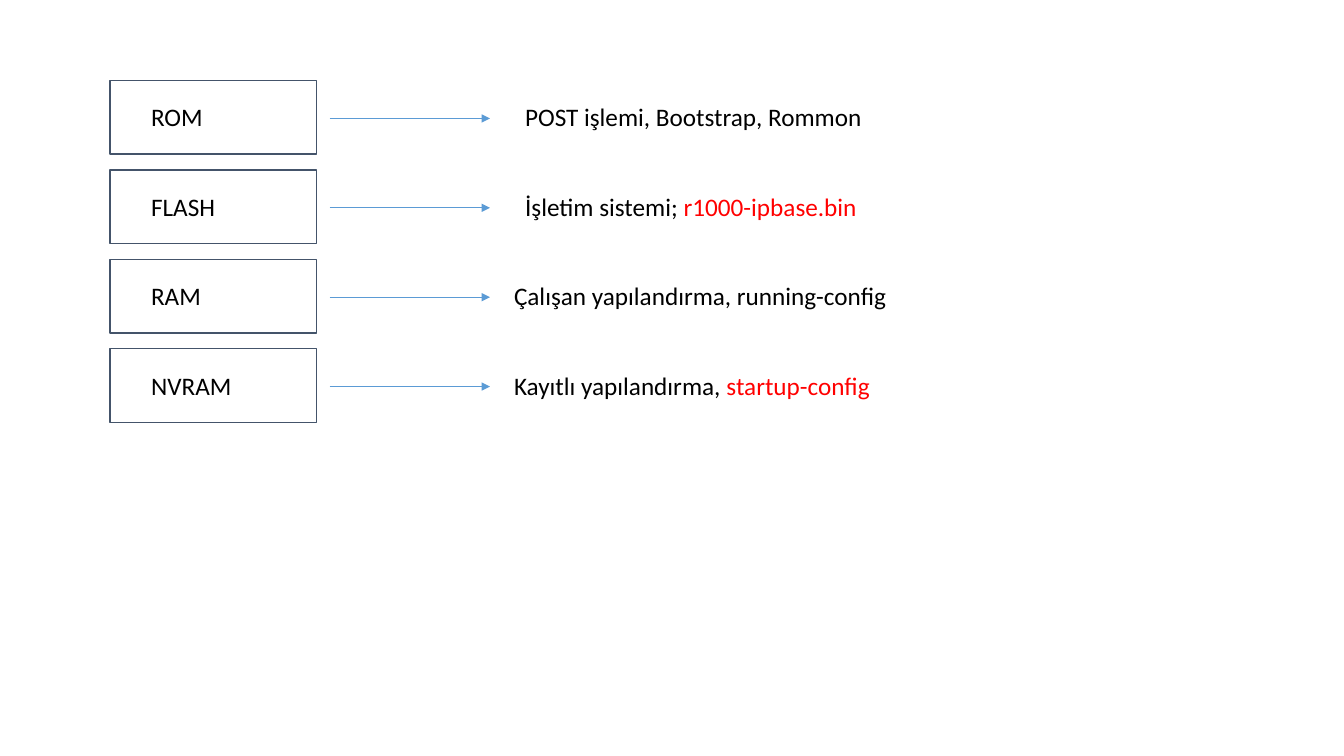
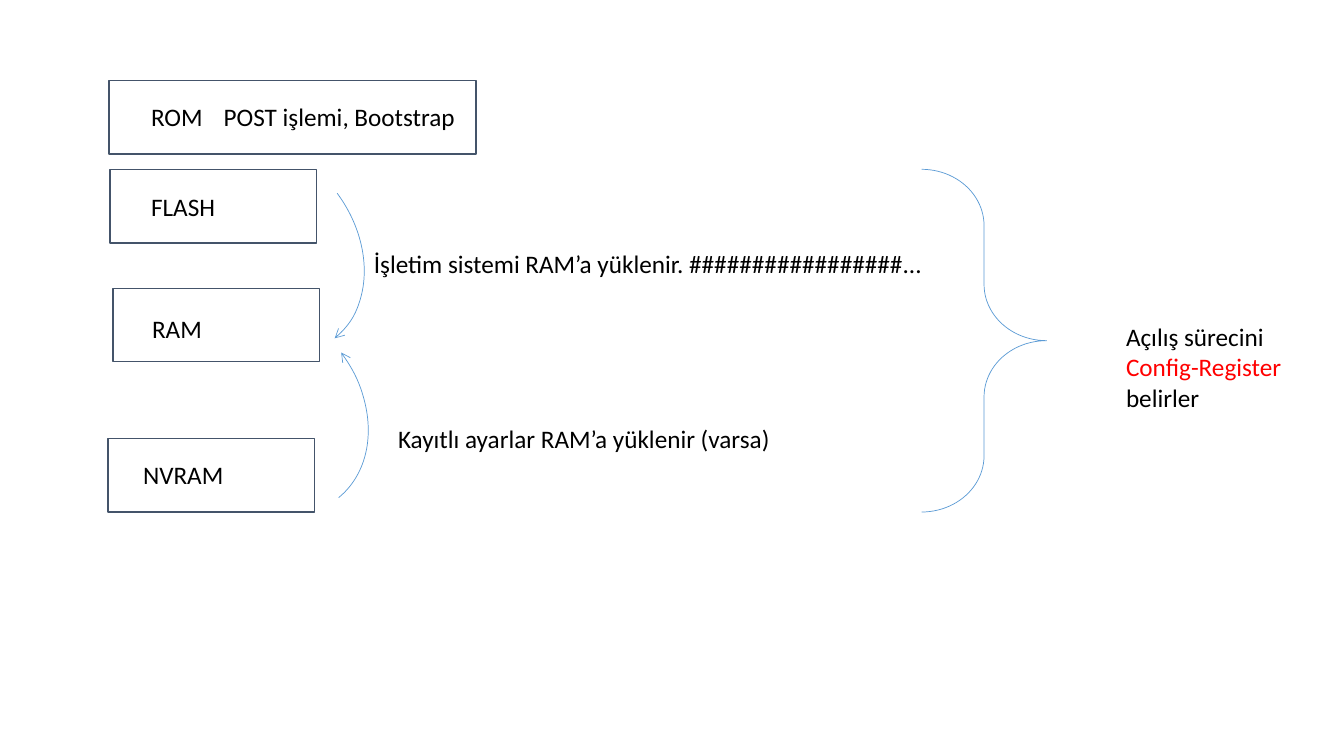
"""Build two slides on router memory and the start-up sequence."""
from lxml import etree
from pptx import Presentation, util as u
from pptx.dml.color import RGBColor
from pptx.enum import shapes, text
from pptx.oxml import ns

WIDTH, HEIGHT = 13.33, 7.5
BLACK, RED, NAVY, BLUE = "000000", "FF0000", "44546A", "5B9BD5"
FONT, SIZE = "Calibri", 18
BOX_WIDTH, BOX_HEIGHT = 2.05, 0.73
LABEL_INSET, LABEL_DROP, LINE_HEIGHT = 0.31, 0.16, 0.4
LABEL_WIDTHS = {"ROM": 0.72, "FLASH": 0.84, "RAM": 0.7, "NVRAM": 1.01}


def colour(value):
    """Turn a hex string into a colour."""
    return RGBColor.from_string(value)


def inches(*lengths):
    """Turn numbers into lengths in inches."""
    return [u.Inches(length) for length in lengths]


def style_line(shape, value, points, **ends):
    """Set the line of a shape and its arrowheads, given as headEnd or tailEnd."""
    shape.line.color.rgb = colour(value)
    shape.line.width = u.Pt(points)
    line = shape.line._get_or_add_ln()
    for end, kind in ends.items():
        etree.SubElement(line, ns.qn("a:" + end), type=kind)


def add_text(slide, box, *paragraphs):
    """Add unwrapped text; each paragraph is a list of (words, colour) runs."""
    frame = slide.shapes.add_textbox(*inches(*box)).text_frame
    frame.word_wrap = False
    frame.auto_size = text.MSO_AUTO_SIZE.SHAPE_TO_FIT_TEXT
    for index, runs in enumerate(paragraphs):
        paragraph = frame.add_paragraph() if index else frame.paragraphs[0]
        for words, value in runs:
            run = paragraph.add_run()
            run.text = words
            run.font.name = FONT
            run.font.size = u.Pt(SIZE)
            run.font.color.rgb = colour(value)


def add_outline(slide, kind, box, value, points, adjustments=(), rotation=0, **ends):
    """Add an unfilled preset shape."""
    shape = slide.shapes.add_shape(kind, *inches(*box))
    shape.shadow.inherit = False
    shape.fill.background()
    for index, adjustment in enumerate(adjustments):
        shape.adjustments[index] = adjustment
    shape.rotation = rotation
    style_line(shape, value, points, **ends)


def add_arrow(slide, left, right, y):
    """Add a horizontal arrow."""
    arrow = slide.shapes.add_connector(
        shapes.MSO_CONNECTOR.STRAIGHT, *inches(left, y, right, y))
    style_line(arrow, BLUE, 0.5, tailEnd="triangle")
    etree.SubElement(arrow._element.spPr, ns.qn("a:effectLst"))


def add_memory(slide, name, left, top, width=BOX_WIDTH, inset=LABEL_INSET, drop=LABEL_DROP):
    """Add a memory box with its name."""
    add_outline(slide, shapes.MSO_SHAPE.RECTANGLE, (left, top, width, BOX_HEIGHT), NAVY, 1)
    add_text(slide, (left + inset, top + drop, LABEL_WIDTHS[name], LINE_HEIGHT),
             [(name, BLACK)])


def add_load_arc(slide, left, top, **ends):
    """Add a curved arrow that shows loading into RAM."""
    add_outline(slide, shapes.MSO_SHAPE.ARC, (left, top, 2.34, 1.86), BLUE, 0.5,
                (164.603, 0), 50.8, **ends)


def build_contents_slide(slide, box):
    """Show what each memory holds, one evenly spaced row for each."""
    left, top, width, height = box
    rows = [
        ("ROM", 4.02, 3.57, [("POST işlemi, Bootstrap, Rommon", BLACK)]),
        ("FLASH", 4.02, 3.55, [("İşletim sistemi; ", BLACK), ("r1000-ipbase.bin", RED)]),
        ("RAM", 3.91, 3.94, [("Çalışan yapılandırma, running-config", BLACK)]),
        ("NVRAM", 3.91, 3.77, [("Kayıtlı yapılandırma, ", BLACK), ("startup-config", RED)]),
    ]
    pitch = (height - BOX_HEIGHT) / (len(rows) - 1)
    for index, (name, offset, text_width, runs) in enumerate(rows):
        row_top = top + index * pitch
        add_memory(slide, name, left, row_top)
        add_arrow(slide, left + 2.18, left + 3.77, row_top + BOX_HEIGHT / 2 + 0.01)
        add_text(slide, (left + offset, row_top + LABEL_DROP, text_width, LINE_HEIGHT), runs)


def build_startup_slide(slide, box):
    """Show how the system and the settings are loaded into RAM."""
    left, top, width, height = box
    flash_top = top + 0.88
    add_memory(slide, "ROM", left, top, width=3.64, inset=0.32)
    add_memory(slide, "FLASH", left + 0.01, flash_top, drop=0.17)
    add_memory(slide, "RAM", left + 0.04, top + 2.06, inset=0.29, drop=0.2)
    add_memory(slide, "NVRAM", left - 0.01, top + height - BOX_HEIGHT, inset=0.25)
    add_load_arc(slide, left + 0.33, top + 0.72, tailEnd="arrow")
    add_load_arc(slide, left + 0.37, top + 2.3, headEnd="arrow")
    for x, y, text_width, words in [
        (1.04, LABEL_DROP, 2.52, "POST işlemi, Bootstrap"),
        (2.53, 1.61, 5.7, "İşletim sistemi RAM’a yüklenir. #################..."),
        (2.77, 3.35, 3.93, "Kayıtlı ayarlar RAM’a yüklenir (varsa)"),
    ]:
        add_text(slide, (left + x, top + y, text_width, LINE_HEIGHT), [(words, BLACK)])
    add_outline(slide, shapes.MSO_SHAPE.RIGHT_BRACE,
                (left + 8.06, flash_top, 1.24, top + height - flash_top),
                BLUE, 0.5, (0.45, 0.5))
    add_text(slide, (left + width - 1.76, top + 2.34, 1.76, 1.01),
             [("Açılış sürecini ", BLACK)], [("Config-Register", RED)], [("belirler", BLACK)])


def main():
    """Build and save the presentation."""
    presentation = Presentation()
    presentation.slide_width, presentation.slide_height = inches(WIDTH, HEIGHT)
    blank = presentation.slide_layouts[6]
    for build, box in [
        (build_contents_slide, (1.09, 0.8, 7.85, 3.39)),
        (build_startup_slide, (1.08, 0.8, 11.75, 4.28)),
    ]:
        build(presentation.slides.add_slide(blank), box)
    presentation.save("out.pptx")


main()
